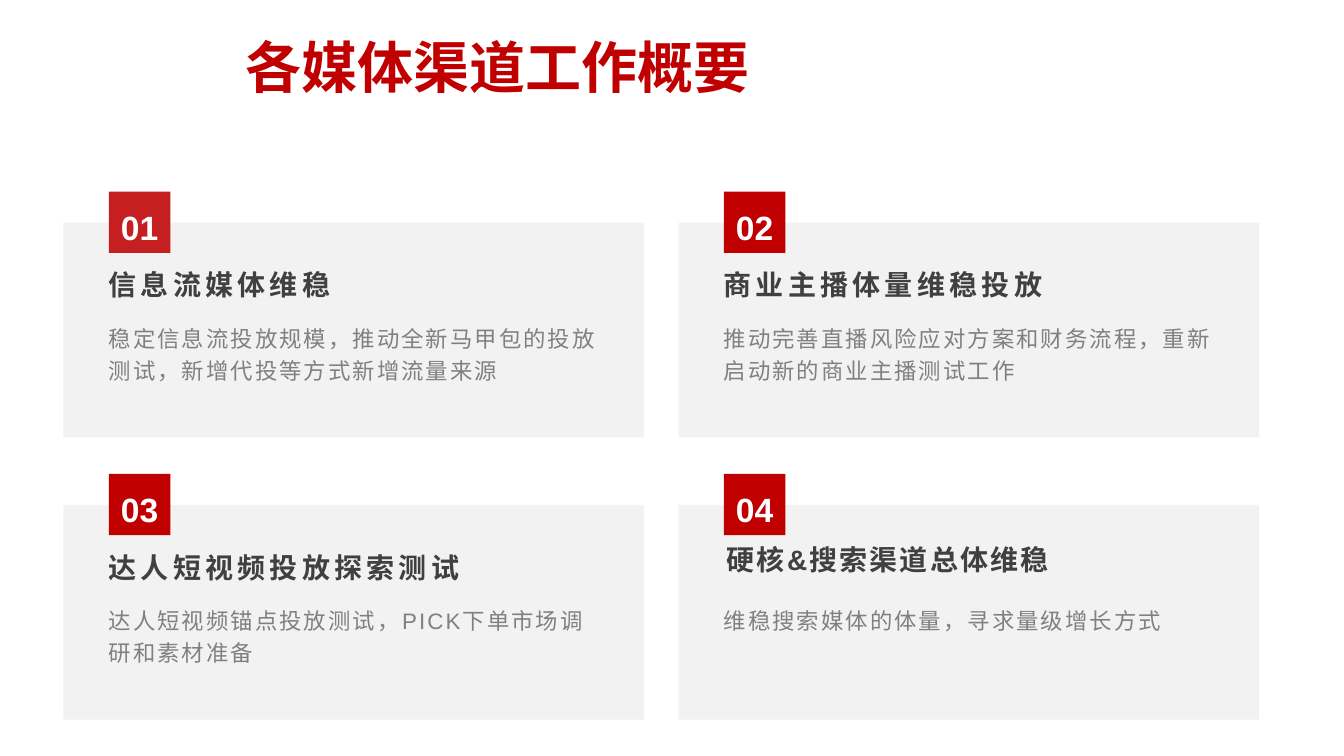
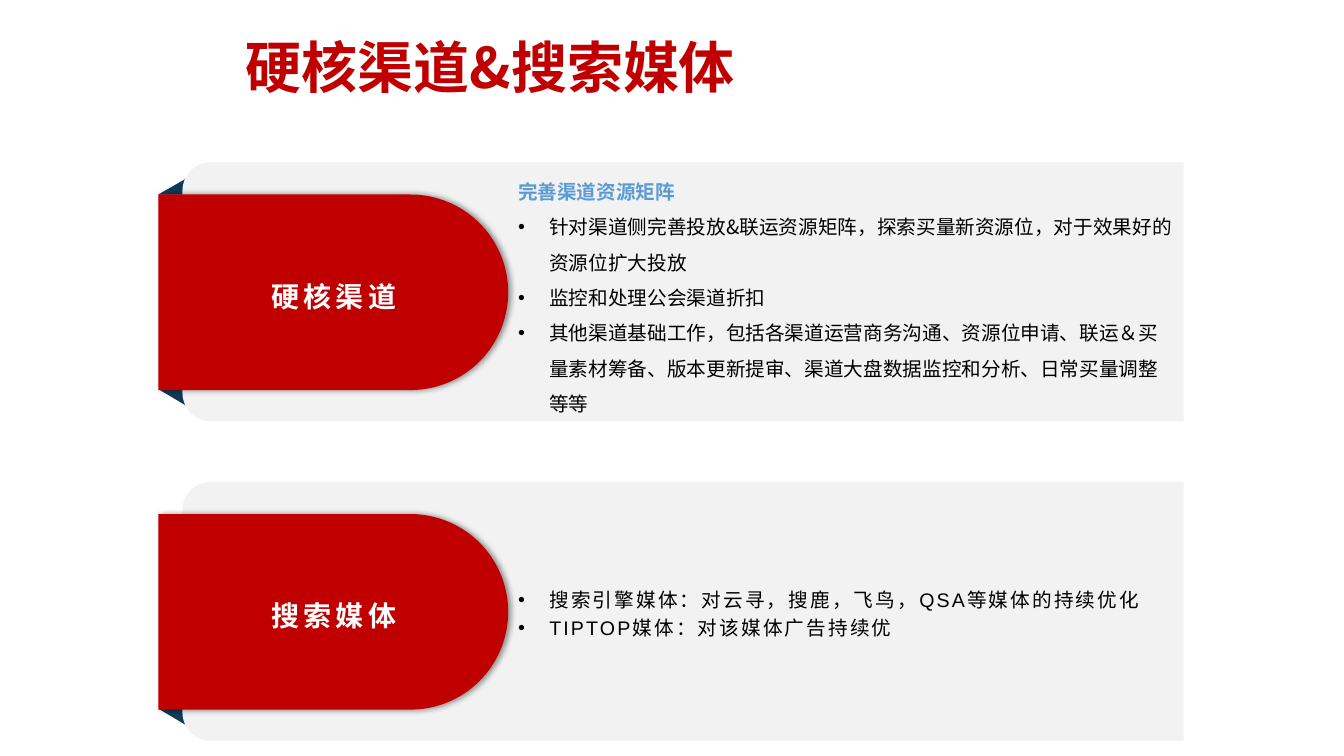
from typing import NamedTuple

from lxml.etree import SubElement
from pptx import Presentation
from pptx.dml.color import RGBColor as RGB
from pptx.enum.shapes import MSO_SHAPE as SHAPE
from pptx.enum.text import MSO_ANCHOR as ANCHOR, PP_ALIGN as ALIGN
from pptx.oxml.ns import qn
from pptx.util import Inches, Pt


class Theme:
    """Colours, fonts and text styles shared by all slides."""
    red = RGB(0xC0, 0x00, 0x00)
    bright_red = RGB(0xC5, 0x1F, 0x21)
    navy = RGB(0x10, 0x3A, 0x56)
    blue = RGB(0x5B, 0x9B, 0xD5)
    panel = RGB(0xF2, 0xF2, 0xF2)
    white = RGB(0xFF, 0xFF, 0xFF)
    black = RGB(0x00, 0x00, 0x00)
    dark = RGB(0x40, 0x40, 0x40)
    grey = RGB(0x80, 0x80, 0x80)
    latin, cjk = "Arial", "Noto Sans CJK SC"

    title = dict(size=Pt(40), bold=True, name=cjk, color=red)
    number = dict(size=Pt(24), bold=True, name=latin, color=white)
    heading = dict(size=Pt(20), bold=True, name=latin, color=dark, spacing=3)
    tight_heading = {**heading, "spacing": 1.5}
    body = dict(size=Pt(16), bold=False, name=latin, color=grey, spacing=1.5)
    label = {**heading, "color": white}
    lead = dict(size=Pt(14), bold=True, name=cjk, color=blue)
    point = {**lead, "bold": False, "color": black}
    wide_point = {**point, "name": latin, "spacing": 1.5}


class Box(NamedTuple):
    x: float
    y: float
    w: float
    h: float

    def inner(self, dx, dy, w, h):
        """A box placed relative to this one's top left corner."""
        return Box(self.x + dx, self.y + dy, w, h)

    def emu(self):
        return [Inches(v) for v in self]


FRAME = dict(margin_left=0.1, margin_top=0.05, margin_right=0.1, margin_bottom=0.05)


def write(p, text, style, line=None, align=ALIGN.LEFT):
    p.alignment = align
    if line:
        p.line_spacing = line
    r = p.add_run()
    r.text = text
    for key in ("size", "bold", "name"):
        setattr(r.font, key, style[key])
    r.font.color.rgb = style["color"]
    rPr = r._r.get_or_add_rPr()
    SubElement(rPr, qn("a:ea")).set("typeface", Theme.cjk)
    if "spacing" in style:
        rPr.set("spc", str(int(style["spacing"] * 100)))


def set_frame(tf, anchor=ANCHOR.TOP, **margins):
    tf.word_wrap = True
    tf.vertical_anchor = anchor
    for key, value in {**FRAME, **margins}.items():
        setattr(tf, key, Inches(value))


def add_text(s, box, text, style, line=None, align=ALIGN.LEFT, **frame):
    tf = s.shapes.add_textbox(*box.emu()).text_frame
    set_frame(tf, **frame)
    write(tf.paragraphs[0], text, style, line, align)


def add_block(s, kind, box, color, turn=0, adjust=()):
    """Filled preset shape that covers box after being turned."""
    x, y, w, h = box
    if turn % 180:
        box = Box(x + (w - h) / 2, y + (h - w) / 2, h, w)
    sp = s.shapes.add_shape(kind, *box.emu())
    sp.rotation = turn
    for i, value in enumerate(adjust):
        sp.adjustments[i] = value
    sp.fill.solid()
    sp.fill.fore_color.rgb = color
    sp.line.fill.background()
    sp.shadow.inherit = False
    return sp


def add_soft_shadow(sp):
    effects = sp._element.spPr.find(qn("a:effectLst"))
    shadow = SubElement(effects, qn("a:outerShdw"), blurRad=str(Pt(4)),
                        dist=str(Pt(2)), dir="0", rotWithShape="0")
    color = SubElement(shadow, qn("a:srgbClr"), val="000000")
    SubElement(color, qn("a:alpha"), val="40000")


def add_bullet(p):
    pPr = p._p.get_or_add_pPr()
    indent = Inches(0.31)
    pPr.set("marL", str(indent))
    pPr.set("indent", str(-indent))
    SubElement(pPr, qn("a:buFont")).set("typeface", Theme.latin)
    SubElement(pPr, qn("a:buChar")).set("char", "•")


def new_slide(prs, title):
    s = prs.slides.add_slide(prs.slide_layouts[6])
    add_text(s, Box(2.34, 0.27, 9.81, 0.96), title, Theme.title)
    return s


def summary_card(s, box, number, heading, body, chip_color=Theme.red,
                 style=Theme.heading, shift=(0, 0)):
    add_block(s, SHAPE.RECTANGLE, box, Theme.panel)
    chip = add_block(s, SHAPE.RECTANGLE, box.inner(0.45, -0.31, 0.61, 0.61), chip_color)
    set_frame(chip.text_frame, margin_left=0, margin_right=0, margin_top=0.11, margin_bottom=0)
    write(chip.text_frame.paragraphs[0], number, Theme.number, 1.1, ALIGN.CENTER)
    dx, dy = shift
    add_text(s, box.inner(0.35 + dx, 0.36 + dy, 5.06, 0.42), heading, style, 1.1,
             anchor=ANCHOR.BOTTOM, margin_bottom=0)
    add_text(s, box.inner(0.35, 0.96, 5.06, 1.06), body, Theme.body, 1.2, margin_top=0)


def summary_slide(prs):
    s = new_slide(prs, "各媒体渠道工作概要")
    cards = [
        dict(heading="信息流媒体维稳", chip_color=Theme.bright_red,
             body="稳定信息流投放规模，推动全新马甲包的投放测试，新增代投等方式新增流量来源"),
        dict(heading="商业主播体量维稳投放",
             body="推动完善直播风险应对方案和财务流程，重新启动新的商业主播测试工作"),
        dict(heading="达人短视频投放探索测试",
             body="达人短视频锚点投放测试，PICK下单市场调研和素材准备"),
        dict(heading="硬核&搜索渠道总体维稳", style=Theme.tight_heading, shift=(0.03, -0.07),
             body="维稳搜索媒体的体量，寻求量级增长方式"),
    ]
    for i, card in enumerate(cards):
        row, col = divmod(i, 2)
        box = Box(0.63 + col * 6.1, 2.21 + row * 2.8, 5.76, 2.13)
        summary_card(s, box, f"{i + 1:02}", **card)


def ribbon_panel(s, box, label, points, point_style, line, lead=None, top_fold=True):
    """Grey panel with a red ribbon label on its left and bullets on its right."""
    if top_fold:
        add_block(s, SHAPE.RIGHT_TRIANGLE, box.inner(-0.24, 0.05, 0.47, 0.27), Theme.navy, 270)
    add_block(s, SHAPE.RIGHT_TRIANGLE, box.inner(-0.24, 2.25, 0.47, 0.28), Theme.navy, 180)
    add_block(s, SHAPE.ROUND_2_SAME_RECTANGLE, box, Theme.panel, 270, (0.11, 0))
    ribbon = add_block(s, SHAPE.ROUND_2_SAME_RECTANGLE, box.inner(-0.24, 0.32, 3.47, 1.94),
                       Theme.red, 90, (0.5, 0))
    add_soft_shadow(ribbon)
    add_text(s, box.inner(0.48, 0.86, 2.04, 0.87), label, Theme.label, 1.2,
             ALIGN.CENTER, anchor=ANCHOR.MIDDLE)

    tf = s.shapes.add_textbox(*box.inner(3.23, 0, 6.7, box.h).emu()).text_frame
    set_frame(tf, ANCHOR.MIDDLE)
    texts = ([lead] if lead else []) + points
    for i, text in enumerate(texts):
        p = tf.add_paragraph() if i else tf.paragraphs[0]
        is_lead = text == lead
        write(p, text, Theme.lead if is_lead else point_style, line)
        if not is_lead:
            add_bullet(p)


def channel_slide(prs):
    s = new_slide(prs, "硬核渠道&搜索媒体")
    panels = [
        dict(label="硬核渠道", lead="完善渠道资源矩阵", point_style=Theme.point, line=1.5,
             points=["针对渠道侧完善投放&联运资源矩阵，探索买量新资源位，对于效果好的资源位扩大投放",
                     "监控和处理公会渠道折扣",
                     "其他渠道基础工作，包括各渠道运营商务沟通、资源位申请、联运＆买量素材筹备、"
                     "版本更新提审、渠道大盘数据监控和分析、日常买量调整等等"]),
        dict(label="搜索媒体", point_style=Theme.wide_point, line=1.2, top_fold=False,
             points=["搜索引擎媒体：对云寻，搜鹿，飞鸟，QSA等媒体的持续优化",
                     "TIPTOP媒体：对该媒体广告持续优"]),
    ]
    for i, panel in enumerate(panels):
        ribbon_panel(s, Box(1.81, 1.61 + i * 3.17, 9.93, 2.57), **panel)


def main():
    prs = Presentation()
    prs.slide_width, prs.slide_height = Inches(13.33), Inches(7.5)
    summary_slide(prs)
    channel_slide(prs)
    prs.save("out.pptx")


if __name__ == "__main__":
    main()
